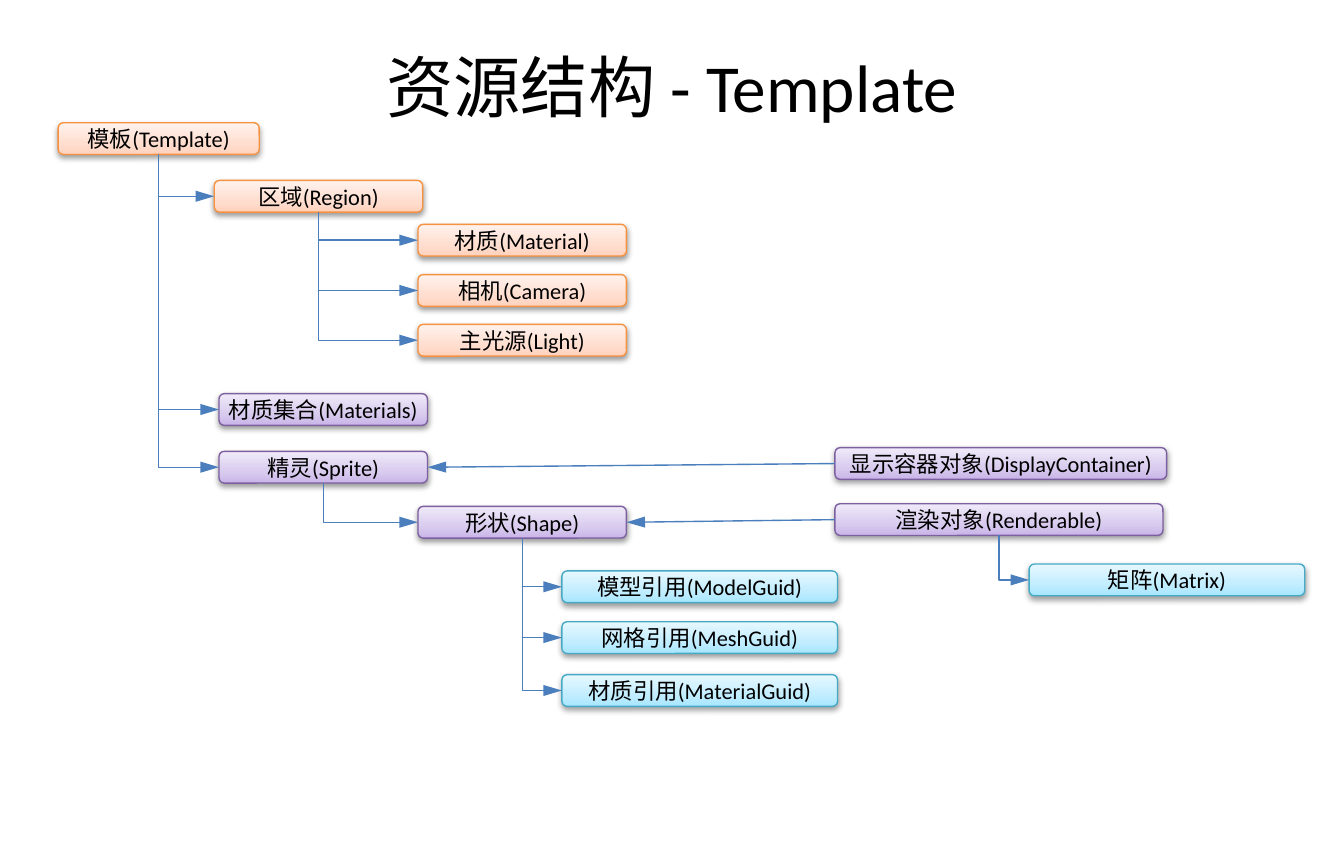
from copy import deepcopy

from pptx import Presentation
from pptx.dml.color import RGBColor
from pptx.enum.shapes import MSO_CONNECTOR as CONNECTOR, MSO_SHAPE as SHAPE
from pptx.enum.text import MSO_ANCHOR as ANCHOR, PP_ALIGN as ALIGN
from pptx.oxml import parse_xml
from pptx.oxml.ns import nsdecls, qn
from pptx.util import Cm, Pt


def color(value):
    return RGBColor.from_string(value)


def write(shape, text, size):
    frame = shape.text_frame
    frame.word_wrap = True
    frame.vertical_anchor = ANCHOR.MIDDLE
    frame.margin_left = frame.margin_right = 0
    frame.margin_top = frame.margin_bottom = 0
    paragraph = frame.paragraphs[0]
    paragraph.text = text
    paragraph.alignment = ALIGN.CENTER
    paragraph.font.size = Pt(size)
    paragraph.font.name = "Calibri"
    paragraph.font.color.rgb = color("000000")


SHADOW = (
    f'<a:outerShdw {nsdecls("a")} blurRad="40000" dist="20000" dir="5400000" rotWithShape="0">'
    '<a:srgbClr val="000000"><a:alpha val="38000"/></a:srgbClr></a:outerShdw>'
)
ORANGE = ("F69240", "FFD2BD", "FFDED0", "FFF2ED")
PURPLE = ("7D60A0", "C9B5E8", "D8CBEE", "F0EAF9")
CYAN = ("46AAC5", "A7E6FF", "C1EDFF", "E7F8FF")
NODE_HEIGHT = 0.6

nodes = [
    ("模板(Template)", 1.1, 2.32, 3.8, ORANGE),
    ("区域(Region)", 4.05, 3.41, 3.94, ORANGE),
    ("材质(Material)", 7.9, 4.24, 3.94, ORANGE),
    ("相机(Camera)", 7.9, 5.19, 3.94, ORANGE),
    ("主光源(Light)", 7.9, 6.13, 3.94, ORANGE),
    ("材质集合(Materials)", 4.14, 7.44, 3.94, PURPLE),
    ("精灵(Sprite)", 4.14, 8.53, 3.94, PURPLE),
    ("形状(Shape)", 7.9, 9.57, 3.94, PURPLE),
    ("模型引用(ModelGuid)", 10.62, 10.79, 5.21, CYAN),
    ("网格引用(MeshGuid)", 10.62, 11.75, 5.21, CYAN),
    ("材质引用(MaterialGuid)", 10.62, 12.75, 5.21, CYAN),
    ("显示容器对象(DisplayContainer)", 15.78, 8.46, 6.27, PURPLE),
    ("渲染对象(Renderable)", 15.78, 9.52, 6.2, PURPLE),
    ("矩阵(Matrix)", 19.45, 10.66, 5.21, CYAN),
]
children = {
    "模板(Template)": ["区域(Region)", "材质集合(Materials)", "精灵(Sprite)"],
    "区域(Region)": ["材质(Material)", "相机(Camera)", "主光源(Light)"],
    "精灵(Sprite)": ["形状(Shape)"],
    "形状(Shape)": ["模型引用(ModelGuid)", "网格引用(MeshGuid)", "材质引用(MaterialGuid)"],
    "渲染对象(Renderable)": ["矩阵(Matrix)"],
}
references = [
    ("显示容器对象(DisplayContainer)", "精灵(Sprite)"),
    ("渲染对象(Renderable)", "形状(Shape)"),
]

presentation = Presentation()
presentation.slide_width = Cm(25.4)
presentation.slide_height = Cm(16.29)
slide = presentation.slides.add_slide(presentation.slide_layouts[6])

title = slide.shapes.add_textbox(Cm(1.27), Cm(0.66), Cm(22.86), Cm(1.9))
write(title, "资源结构 - Template", 36)

boxes = {}
for text, left, top, width, (outline, *shades) in nodes:
    shape = slide.shapes.add_shape(
        SHAPE.ROUNDED_RECTANGLE, Cm(left), Cm(top), Cm(width), Cm(NODE_HEIGHT)
    )
    shape.fill.gradient()
    shape.fill.gradient_angle = 90
    stop_list = shape._element.spPr.find(qn("a:gradFill")).find(qn("a:gsLst"))
    stop_list.append(deepcopy(stop_list[-1]))
    for stop, position, shade in zip(shape.fill.gradient_stops, (0, 0.35, 1), shades):
        stop.position = position
        stop.color.rgb = color(shade)
    shape.line.color.rgb = color(outline)
    shape.line.width = Pt(0.75)
    shape.shadow.inherit = False
    shape._element.spPr.find(qn("a:effectLst")).append(parse_xml(SHADOW))
    write(shape, text, 12)
    boxes[text] = shape

links = [
    (CONNECTOR.ELBOW, parent, 2, child, 1)
    for parent, names in children.items()
    for child in names
]
links += [(CONNECTOR.STRAIGHT, source, 1, target, 3) for source, target in references]

for kind, source, source_side, target, target_side in links:
    connector = slide.shapes.add_connector(kind, 0, 0, 0, 0)
    connector.begin_connect(boxes[source], source_side)
    connector.end_connect(boxes[target], target_side)
    properties = connector._element.spPr
    if kind == CONNECTOR.ELBOW:
        across, down = connector.width, connector.height
        connector.left += (across - down) // 2
        connector.top += (down - across) // 2
        connector.width, connector.height = down, across
        transform = properties.find(qn("a:xfrm"))
        transform.set("rot", "16200000")
        transform.set("flipH", "1")
        properties.find(qn("a:prstGeom")).set("prst", "bentConnector2")
    connector.line.color.rgb = color("4B7EBC")
    connector.line.width = Pt(0.75)
    line = properties.find(qn("a:ln"))
    line.append(parse_xml(f'<a:tailEnd {nsdecls("a")} type="triangle" len="lg"/>'))
    properties.append(parse_xml(f'<a:effectLst {nsdecls("a")}/>'))

presentation.save("out.pptx")
